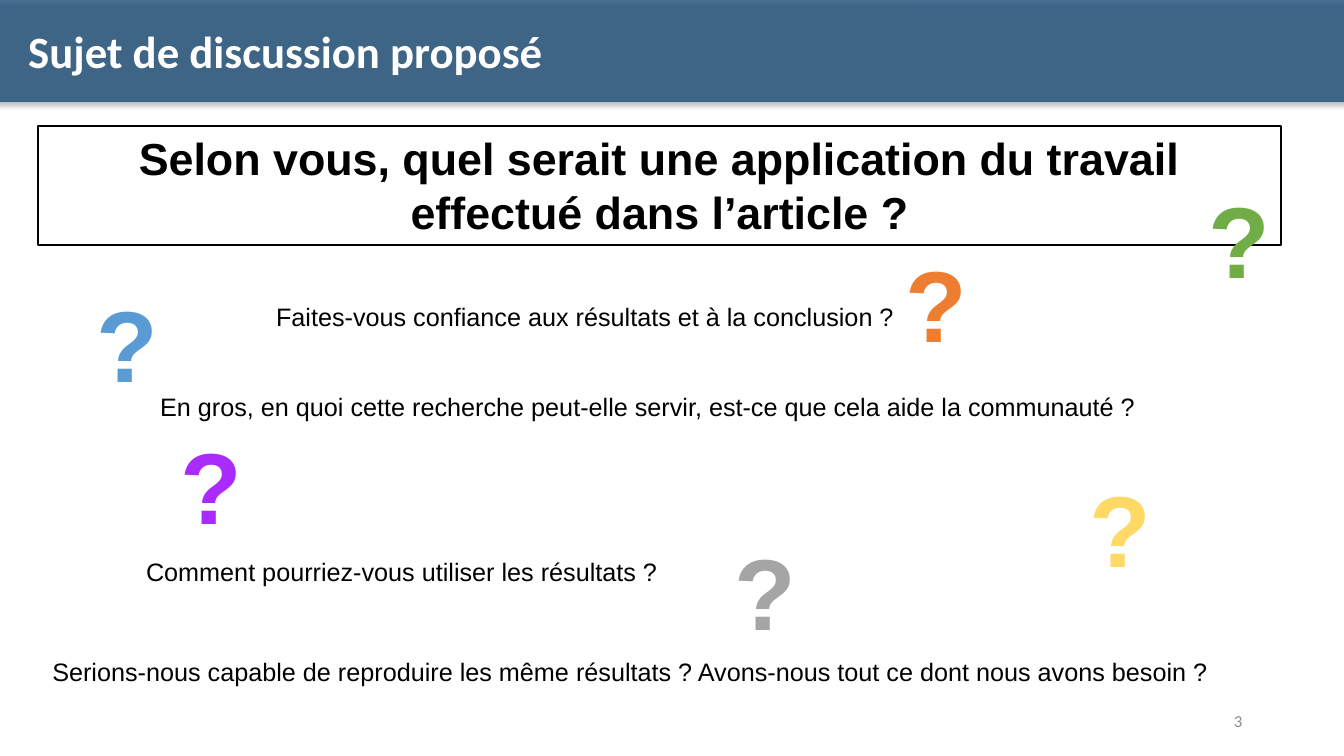
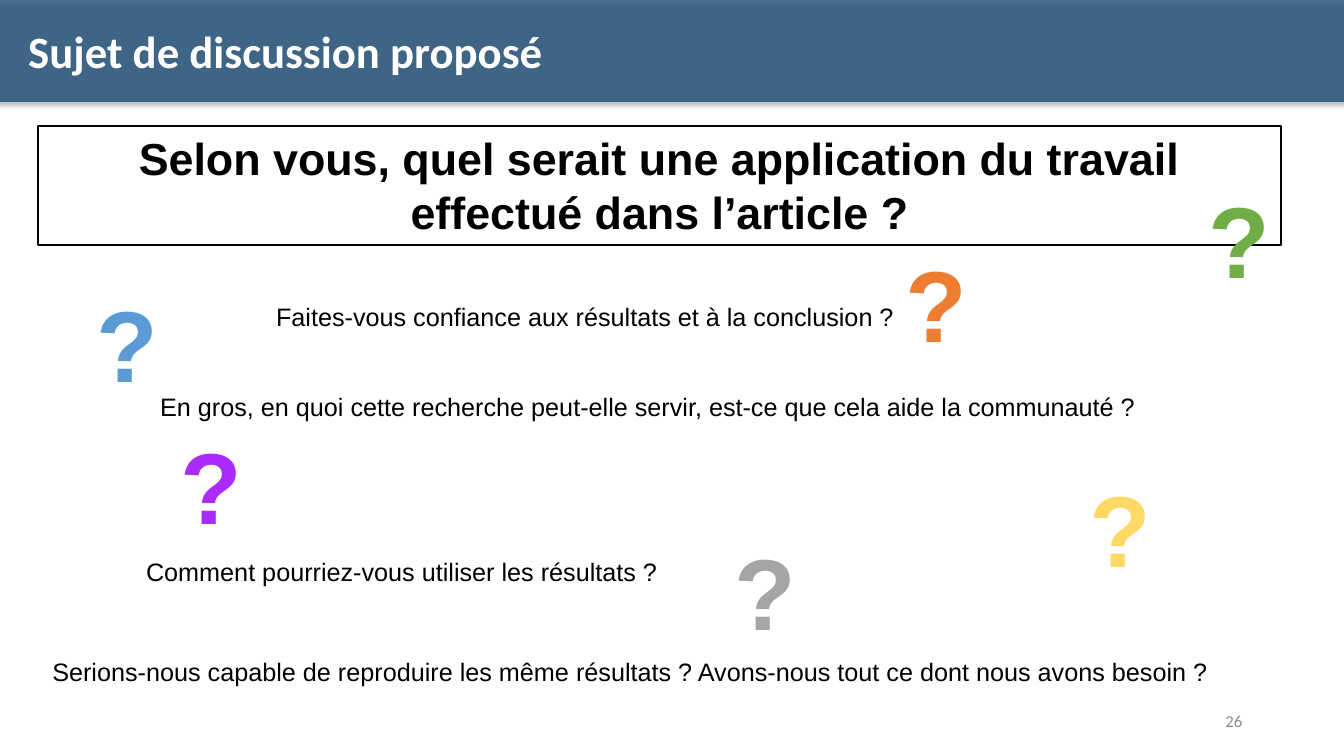
"""Builds two discussion slides with a shared band, questions and page number."""
from lxml import etree
from pptx import Presentation
from pptx.dml.color import RGBColor as RGB
from pptx.enum.shapes import MSO_SHAPE as SHAPE
from pptx.enum.text import MSO_ANCHOR as ANCHOR, MSO_AUTO_SIZE as AUTO, PP_ALIGN as ALIGN
from pptx.oxml import parse_xml
from pptx.oxml.ns import nsdecls, qn
from pptx.util import Inches, Pt

COLORS = {
    "band": "1F4E79", "white": "FFFFFF", "black": "000000", "number": "8C8C8C",
    "blue": "5B9BD5", "yellow": "FFD966", "orange": "ED7D31",
    "purple": "A92BFD", "green": "70AD47", "gray": "A5A5A5",
}
TITLE = "Sujet de discussion proposé"
TOPIC = "Selon vous, quel serait une application du travail effectué dans l’article ?"
QUESTIONS = [
    ("Comment pourriez-vous utiliser les résultats ?", 1.35, 5.47, 5.32),
    ("Faites-vous confiance aux résultats et à la conclusion ?", 2.64, 2.94, 6.46),
    ("En gros, en quoi cette recherche peut-elle servir, "
     "est-ce que cela aide la communauté ?", 1.49, 3.83, 10.04),
    ("Serions-nous capable de reproduire les même résultats ? "
     "Avons-nous tout ce dont nous avons besoin ?", 0.42, 6.46, 12.19),
]
MARKS = [
    ("blue", 0.86, 2.75), ("yellow", 10.71, 4.58), ("orange", 8.88, 2.35),
    ("purple", 1.69, 4.15), ("green", 11.89, 1.71), ("gray", 7.19, 5.21),
]
PAGES = [3, 26]


class Deck:
    """Holds the presentation, its style and the current slide."""

    def __init__(self):
        self.prs = Presentation()
        self.prs.slide_width = Inches(13.33)
        self.prs.slide_height = Inches(7.5)
        self.s = None

    def new_slide(self):
        """Starts a title-only slide."""
        self.s = self.prs.slides.add_slide(self.prs.slide_layouts[5])

    def set_text(self, sp, text, size, color="black", bold=False, font="Arial",
                 align=ALIGN.LEFT, anchor=ANCHOR.TOP, wrap=True):
        """Puts one styled paragraph in a shape."""
        tf = sp.text_frame
        tf.text = text
        tf.word_wrap = wrap
        tf.auto_size = AUTO.SHAPE_TO_FIT_TEXT if anchor == ANCHOR.TOP else AUTO.NONE
        tf.vertical_anchor = anchor
        p = tf.paragraphs[0]
        p.alignment = align
        p.font.name, p.font.size, p.font.bold = font, Pt(size), bold
        p.font.color.rgb = RGB.from_string(COLORS[color])
        return p

    def text(self, text, x, y, w, h, size, **style):
        """Adds a text box."""
        sp = self.s.shapes.add_textbox(Inches(x), Inches(y), Inches(w), Inches(h))
        self.set_text(sp, text, size, **style)

    def band(self):
        """Adds the translucent header band with its soft shadow."""
        sp = self.s.shapes.add_shape(SHAPE.ROUNDED_RECTANGLE, Inches(-0.18), 0,
                                     Inches(13.7), Inches(1.01))
        sp.fill.solid()
        sp.fill.fore_color.rgb = RGB.from_string(COLORS["band"])
        sp.line.fill.background()
        spPr = sp._element.spPr
        color = spPr.find(qn("a:solidFill"))[0]
        etree.SubElement(color, qn("a:alpha"), val="80000")
        spPr.append(parse_xml(
            f'<a:effectLst {nsdecls("a")}><a:outerShdw blurRad="{Pt(3.5)}" '
            f'dist="{Pt(2.2)}" dir="5400000" rotWithShape="0">'
            f'<a:srgbClr val="{COLORS["black"]}"><a:alpha val="32000"/></a:srgbClr>'
            '</a:outerShdw></a:effectLst>'))

    def title(self, text):
        """Fills the title placeholder and brings it above the band."""
        sp = self.s.shapes.title
        sp.left, sp.top, sp.width, sp.height = map(Inches, (0.18, 0.23, 13.16, 0.59))
        p = self.set_text(sp, text, 32, color="white", bold=True, font="Calibri")
        p.line_spacing = Pt(35)
        self.s.shapes._spTree.append(sp._element)

    def number(self, page):
        """Adds the page number."""
        self.text(str(page), 9.42, 6.95, 3, 0.4, 12, color="number",
                  font="Calibri", align=ALIGN.RIGHT, anchor=ANCHOR.MIDDLE)

    def topic(self, text):
        """Adds the framed main question."""
        sp = self.s.shapes.add_shape(SHAPE.RECTANGLE, Inches(0.38), Inches(1.25),
                                     Inches(12.33), Inches(1.18))
        sp.shadow.inherit = False
        sp.fill.background()
        sp.line.color.rgb = RGB.from_string(COLORS["black"])
        sp.line.width = Pt(1.5)
        self.set_text(sp, text, 32, bold=True, align=ALIGN.CENTER)

    def question(self, text, x, y, w):
        """Adds a secondary question."""
        self.text(text, x, y, w, 0.4, 18, wrap=False)

    def mark(self, color, x, y):
        """Adds a large coloured question mark."""
        self.text("?", x, y, 0.82, 1.31, 72, color=color, bold=True, wrap=False)


def main():
    """Builds and saves the deck."""
    deck = Deck()
    for page in PAGES:
        deck.new_slide()
        deck.band()
        deck.title(TITLE)
        deck.number(page)
        deck.topic(TOPIC)
        for question in QUESTIONS:
            deck.question(*question)
        for mark in MARKS:
            deck.mark(*mark)
    deck.prs.save("out.pptx")


if __name__ == "__main__":
    main()
